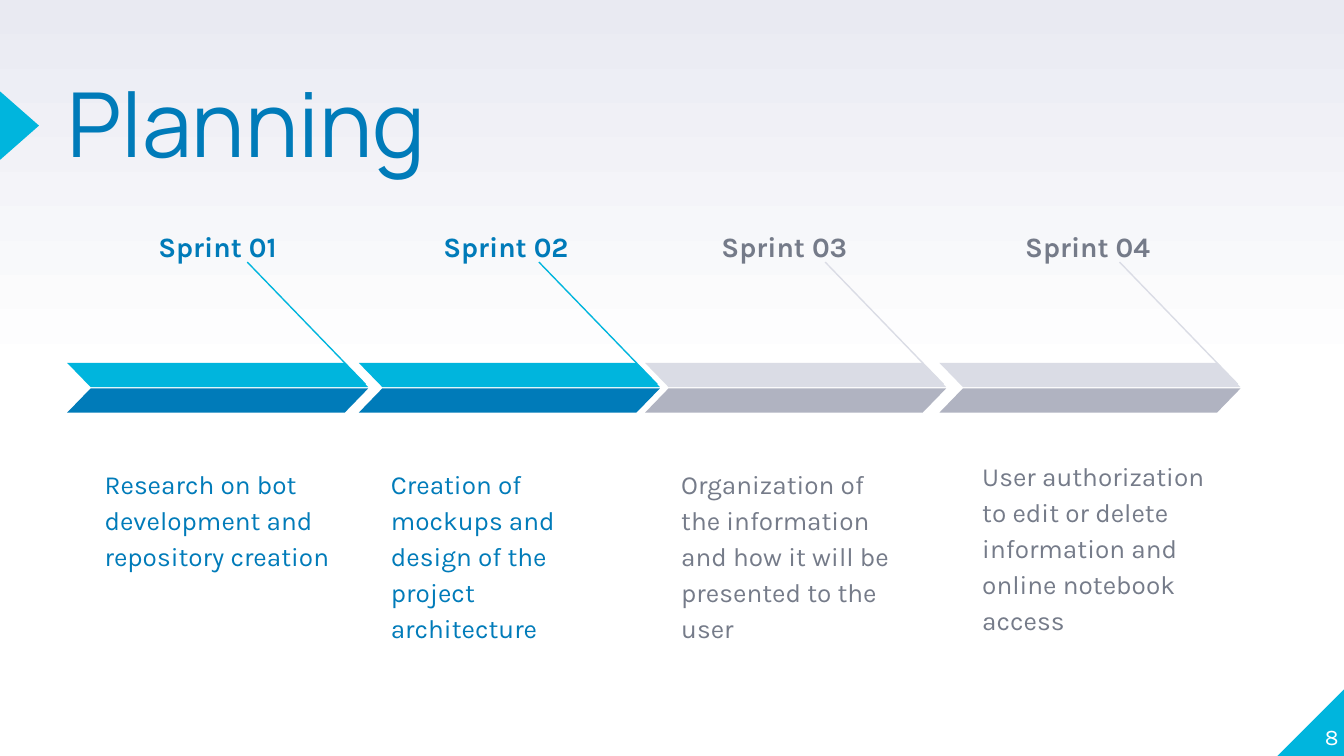
from copy import deepcopy
from dataclasses import dataclass
from typing import Any

from pptx import Presentation
from pptx.dml.color import RGBColor
from pptx.enum import shapes, text
from pptx.oxml import ns
from pptx.util import Inches, Pt
from lxml import etree


@dataclass(frozen=True)
class Theme:
    white: str = "FFFFFF"
    haze: str = "E9EAF2"
    cyan: str = "00B5DD"
    blue: str = "007BB9"
    pale: str = "DADCE5"
    silver: str = "B0B3C1"
    slate: str = "757B89"
    title_font: str = "Manrope"
    body_font: str = "Karla"
    title_size: int = 48
    label_size: int = 15
    body_size: int = 14
    number_size: int = 12


@dataclass(frozen=True)
class Palette:
    upper: str
    lower: str
    words: str


@dataclass(frozen=True)
class Box:
    left: float
    top: float
    width: float
    height: float

    def lengths(self) -> list[int]:
        return [Inches(n) for n in (self.left, self.top, self.width, self.height)]


@dataclass(frozen=True)
class Sprint:
    label: str
    description: str
    palette: Palette
    arrow_left: float
    label_left: float
    description_left: float
    description_top: float = 3.35


THEME = Theme()
DONE = Palette(THEME.cyan, THEME.blue, THEME.blue)
PLANNED = Palette(THEME.pale, THEME.silver, THEME.slate)
SPRINTS = [
    Sprint("Sprint 01", "Research on bot development and repository creation",
           DONE, 0.5, 1.08, 0.68),
    Sprint("Sprint 02", "Creation of mockups and design of the project architecture",
           DONE, 2.67, 3.2, 2.81),
    Sprint("Sprint 03", "Organization of the information and how it will be presented to the user",
           PLANNED, 4.8, 5.27, 4.97),
    Sprint("Sprint 04", "User authorization to edit or delete information and online notebook access",
           PLANNED, 6.99, 7.53, 7.21, 3.29),
]


def color(value: str) -> RGBColor:
    return RGBColor.from_string(value)


def add_filled(parent: Any, kind: shapes.MSO_SHAPE, box: Box, fill: str, flip: bool = False) -> Any:
    shape = parent.add_shape(kind, *box.lengths())
    shape.shadow.inherit = False
    shape.fill.solid()
    shape.fill.fore_color.rgb = color(fill)
    shape.line.fill.background()
    if flip:
        shape._element.spPr.xfrm.set("flipH", "1")
    return shape


def write(shape: Any, words: str, size: int, ink: str, font: str = THEME.body_font,
          inset: float = 0.1, anchor: text.MSO_ANCHOR = text.MSO_ANCHOR.TOP) -> Any:
    frame = shape.text_frame
    frame.word_wrap = True
    frame.auto_size = text.MSO_AUTO_SIZE.NONE
    frame.vertical_anchor = anchor
    frame.margin_left = frame.margin_right = Inches(inset)
    frame.margin_top = frame.margin_bottom = Inches(inset)
    frame.text = words
    paragraph = frame.paragraphs[0]
    paragraph.font.name = font
    paragraph.font.size = Pt(size)
    paragraph.font.color.rgb = color(ink)
    return paragraph


def add_leader(parent: Any, arrow_left: float, ink: str) -> None:
    leader = parent.add_connector(
        shapes.MSO_CONNECTOR.STRAIGHT, Inches(arrow_left + 1.34), Inches(1.95),
        Inches(arrow_left + 2.22), Inches(2.86))
    leader.line.color.rgb = color(ink)
    leader.line.width = Pt(0.75)
    etree.SubElement(leader._element.spPr, ns.qn("a:effectLst"))


def add_sprint(slide: Any, sprint: Sprint) -> None:
    group = slide.shapes.add_group_shape().shapes
    palette = sprint.palette

    label = group.add_textbox(*Box(sprint.label_left, 1.51, 1.84, 0.55).lengths())
    paragraph = write(label, sprint.label, THEME.label_size, palette.words,
                      anchor=text.MSO_ANCHOR.BOTTOM)
    paragraph.font.bold = True
    paragraph.line_spacing = 1.15

    description = group.add_textbox(
        *Box(sprint.description_left, sprint.description_top, 1.89, 0.9).lengths())
    paragraph = write(description, sprint.description, THEME.body_size, palette.words)
    paragraph.line_spacing = 1.15
    paragraph.space_after = Pt(16)

    add_leader(group, sprint.arrow_left, palette.upper)
    for top, fill, flip in ((2.7, palette.upper, True), (2.89, palette.lower, False)):
        half = add_filled(group, shapes.MSO_SHAPE.PARALLELOGRAM,
                          Box(sprint.arrow_left, top, 2.24, 0.18), fill, flip)
        half.adjustments[0] = 0.97


def paint_background(slide: Any) -> None:
    fill = slide.background.fill
    fill.gradient()
    fill.gradient_angle = 90
    stops = slide._element.xpath(".//a:gsLst")[0]
    stops.insert(1, deepcopy(stops[0]))
    values = ((0, THEME.white), (0.5, THEME.white), (1, THEME.haze))
    for stop, (position, value) in zip(fill.gradient_stops, values):
        stop.position = position
        stop.color.rgb = color(value)


def add_title(slide: Any) -> None:
    title = slide.shapes.title
    title.left, title.top, title.width, title.height = Box(0.5, 0.66, 6.39, 1.18).lengths()
    paragraph = write(title, "Planning", THEME.title_size, THEME.blue, THEME.title_font, 0)
    paragraph.alignment = text.PP_ALIGN.LEFT
    paragraph.line_spacing = 0.8


def add_page_number(slide: Any) -> None:
    number = slide.shapes.add_textbox(*Box(9.46, 5.07, 0.5, 0.51).lengths())
    paragraph = write(number, "8", THEME.number_size, THEME.white, inset=0,
                      anchor=text.MSO_ANCHOR.BOTTOM)
    paragraph.alignment = text.PP_ALIGN.RIGHT


def main() -> None:
    presentation = Presentation()
    presentation.slide_width = Inches(10)
    presentation.slide_height = presentation.slide_width * 9 // 16
    slide = presentation.slides.add_slide(presentation.slide_layouts.get_by_name("Title Only"))
    paint_background(slide)
    add_filled(slide.shapes, shapes.MSO_SHAPE.RIGHT_TRIANGLE,
               Box(9.5, 5.12, 0.51, 0.51), THEME.cyan, flip=True)
    pointer = add_filled(slide.shapes, shapes.MSO_SHAPE.ISOSCELES_TRIANGLE,
                         Box(-0.11, 0.79, 0.51, 0.29), THEME.cyan)
    pointer.rotation = 90
    add_title(slide)
    add_page_number(slide)
    for sprint in SPRINTS:
        add_sprint(slide, sprint)
    presentation.save("out.pptx")


if __name__ == "__main__":
    main()
